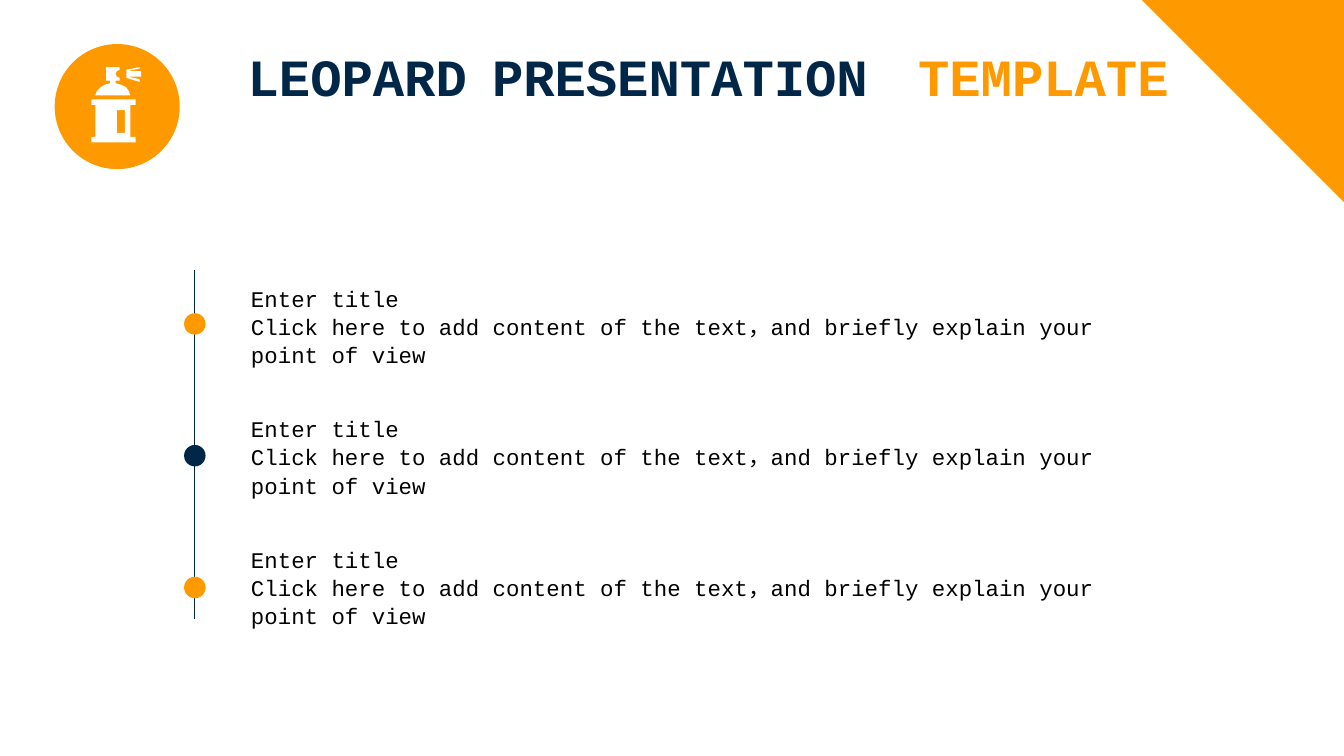
from lxml.etree import SubElement
from pptx import Presentation
from pptx.dml.color import RGBColor
from pptx.enum.shapes import MSO_CONNECTOR, MSO_SHAPE
from pptx.oxml.ns import qn
from pptx.util import Pt

THEME = {
    "orange": RGBColor(0xFF, 0x99, 0x00),
    "navy": RGBColor(0x00, 0x27, 0x48),
    "white": RGBColor(0xFF, 0xFF, 0xFF),
    "black": RGBColor(0x00, 0x00, 0x00),
    "font": "Courier New",
    "title": Pt(28),
    "body": Pt(12),
}

TITLE = [("LEOPARD PRESENTATION\u00a0 ".replace("\u00a0", " "), "navy"), ("TEMPLATE", "orange")]
BODY = "Click here to add content of the text，and briefly explain your point of view"
ITEMS = [
    ("Enter title", BODY, "orange"),
    ("Enter title", BODY, "navy"),
    ("Enter title", BODY, "orange"),
]

# Icon outlines, in hundredths of an inch
ICON_UNIT = Pt(0.72)
ICON = [
    # canister body and its window
    [(97, 78), (97, 102), (101, 102), (101, 106), (68, 106), (68, 102),
     (71, 102), (71, 78), (68, 78), (68, 74), (101, 74), (101, 78)],
    [(93, 82), (87, 82), (87, 99), (93, 99)],
    # spray
    [(104, 59), (95, 57), (105, 57), (105, 53), (95, 53), (104, 51),
     (104, 50), (94, 52), (94, 58), (104, 61)],
    # dome and nozzle
    [(86, 60), (86, 62), (90, 63), (94, 65), (96, 68), (97, 71), (71, 71),
     (72, 68), (75, 65), (78, 63), (82, 62), (82, 60), (79, 60), (79, 50),
     (89, 50), (89, 52), (87, 53), (86, 55), (87, 57), (89, 58), (89, 60)],
]

AXIS_X, AXIS_TOP, AXIS_BOTTOM = 104.4, 144.7, 331.9
DOT, DOT_TOP, DOT_STEP = 11.5, 167.8, 70.6
TEXT_LEFT, TEXT_TOP, TEXT_STEP = 127.4, 148.3, 69.9
TEXT_W, TEXT_H = 494.6, 70.2


def paint(sp, color):
    sp.shadow.inherit = False
    sp.fill.solid()
    sp.fill.fore_color.rgb = THEME[color]
    sp.line.fill.background()


def add_preset(shapes, kind, x, y, size, color):
    sp = shapes.add_shape(kind, Pt(x), Pt(y), Pt(size), Pt(size))
    paint(sp, color)
    return sp


def add_text(shapes, x, y, w, h):
    tf = shapes.add_textbox(Pt(x), Pt(y), Pt(w), Pt(h)).text_frame
    tf.word_wrap = True
    return tf


def add_icon(shapes):
    group = shapes.add_group_shape().shapes
    add_preset(group, MSO_SHAPE.OVAL, 29.3, 23.6, 67, "orange")
    first, *others = ICON
    builder = group.build_freeform(*first[0], scale=ICON_UNIT)
    builder.add_line_segments(first[1:])
    for outline in others:
        builder.move_to(*outline[0])
        builder.add_line_segments(outline[1:])
    paint(builder.convert_to_shape(), "white")


def add_title(shapes):
    tf = add_text(shapes, 128.2, 21.6, 520, 72)
    tf.margin_left = tf.margin_right = Pt(4.5)
    tf.margin_top = tf.margin_bottom = Pt(2.25)
    p = tf.paragraphs[0]
    for text, color in TITLE:
        r = p.add_run()
        r.text = text
        r.font.color.rgb = THEME[color]
        r._r.get_or_add_rPr().set("cap", "small")
    p.font.name, p.font.size, p.font.bold = THEME["font"], THEME["title"], True


def add_timeline(shapes):
    axis = shapes.add_connector(MSO_CONNECTOR.STRAIGHT, Pt(AXIS_X), Pt(AXIS_TOP),
                                Pt(AXIS_X), Pt(AXIS_BOTTOM))
    axis.line.color.rgb = THEME["navy"]
    axis.line.width = Pt(0.5)
    SubElement(axis._element.spPr, qn("a:effectLst"))
    for i, (heading, body, color) in enumerate(ITEMS):
        add_preset(shapes, MSO_SHAPE.OVAL, AXIS_X - DOT / 2, DOT_TOP + i * DOT_STEP, DOT, color)
        tf = add_text(shapes, TEXT_LEFT, TEXT_TOP + i * TEXT_STEP, TEXT_W, TEXT_H)
        p = tf.paragraphs[0]
        p.text = f"{heading}\v{body}"
        p.line_spacing = 1.05
        p.font.name, p.font.size = THEME["font"], THEME["body"]
        p.font.color.rgb = THEME["black"]


prs = Presentation()
prs.slide_width, prs.slide_height = Pt(720), Pt(405)
s = prs.slides.add_slide(prs.slide_layouts[6])
add_icon(s.shapes)
corner = add_preset(s.shapes, MSO_SHAPE.RIGHT_TRIANGLE, 610.7, -1, 111, "orange")
corner.rotation = 180
add_title(s.shapes)
add_timeline(s.shapes)
prs.save("out.pptx")
